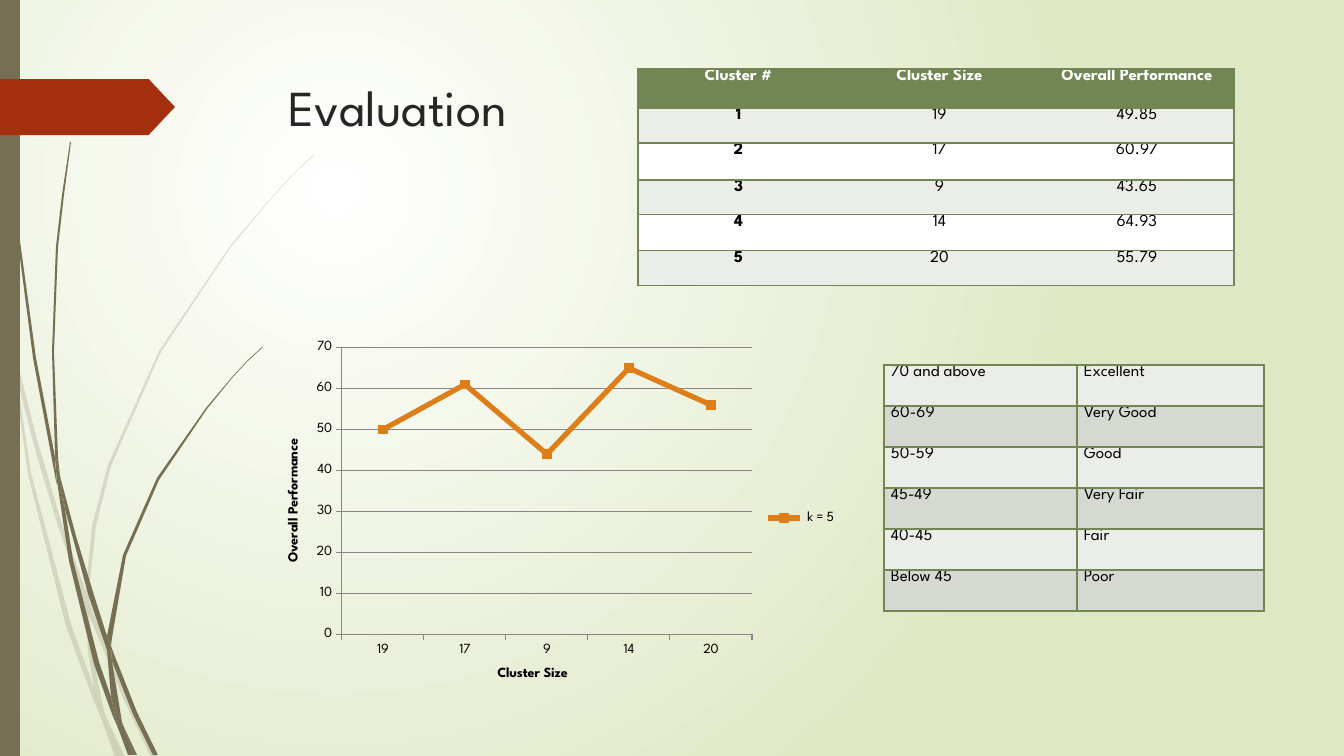
from lxml import etree
from pptx import Presentation
from pptx import util as u
from pptx.chart.data import CategoryChartData
from pptx.dml.color import RGBColor
from pptx.enum import chart as ch, shapes, text
from pptx.oxml.ns import qn

PX = 914400 / 100.8
FONT = "League Spartan"
C = {"white": "FFFFFF", "lime": "DFE8C4", "stem": "766F54", "arrow": "A53010",
     "title": "262626", "black": "000000", "green": "728653", "pale": "EBEDE9",
     "grey": "D5D9D1", "orange": "DE7E18", "grid": "868686"}
RGB = {name: RGBColor.from_string(value) for name, value in C.items()}


def put(tf, words, size=12, color="black", bold=False, align=text.PP_ALIGN.LEFT):
    p = tf.paragraphs[0]
    p.alignment = align
    r = p.add_run()
    r.text = words
    r.font.name, r.font.size, r.font.bold = FONT, u.Pt(size), bold
    r.font.color.rgb = RGB[color]


prs = Presentation()
prs.slide_width, prs.slide_height = round(1344 * PX), round(756 * PX)
s = prs.slides.add_slide(prs.slide_layouts[5])

# Background: radial gradient
fill = s.background.fill
fill.gradient()
for stop, name in zip(fill.gradient_stops, ("white", "lime")):
    stop.color.rgb = RGB[name]
grad = s._element.find(".//" + qn("a:gradFill"))
grad.remove(grad.find(qn("a:lin")))
path = etree.SubElement(grad, qn("a:path"), {"path": "circle"})
etree.SubElement(path, qn("a:fillToRect"), l="50000", t="50000", r="100000", b="100000")

# Grass stems: outlines in px, pale behind and solid in front
pale_stems = [
    [(11, 353), (9, 325), (0, 284), (0, 301), (10, 347)],
    [(58, 526), (85, 604), (86, 591), (62, 524), (36, 436), (14, 348), (17, 379), (36, 453)],
    [(93, 612), (89, 601), (89, 615), (124, 700), (151, 757), (156, 757), (128, 698)],
    [(120, 757), (125, 757), (106, 717)],
    [(94, 688), (71, 624), (31, 473), (17, 379), (11, 353), (28, 474), (66, 626),
     (93, 699), (102, 720), (100, 713)],
    [(85, 604), (88, 651), (94, 688), (97, 698), (106, 717), (104, 712), (92, 651),
     (89, 615), (89, 613)],
    [(89, 589), (96, 526), (111, 466), (161, 352), (231, 247), (270, 200), (292, 176),
     (314, 155), (314, 154), (291, 176), (270, 199), (230, 246), (159, 351), (108, 465),
     (92, 526), (86, 589), (86, 591), (89, 601)],
    [(102, 720), (115, 757), (120, 757)],
    [(89, 613), (89, 615), (89, 601), (86, 591), (85, 604)],
    [(97, 698), (94, 688), (100, 713), (102, 720), (120, 757), (106, 717)],
]
solid_stems = [
    [(7, 111), (17, 235), (33, 358), (56, 481), (57, 485), (55, 461), (55, 457), (36, 358),
     (19, 234), (8, 110), (5, 48), (4, 0), (3, 0), (4, 48)],
    [(89, 597), (107, 650), (107, 636), (94, 595), (76, 536), (60, 476), (65, 509)],
    [(114, 654), (111, 646), (112, 661), (133, 714), (153, 755), (158, 755), (137, 712)],
    [(111, 697), (99, 662), (73, 560), (65, 509), (57, 481), (69, 561), (94, 664),
     (112, 714), (118, 728), (117, 723)],
    [(60, 476), (58, 457), (54, 352), (58, 247), (64, 195), (71, 142), (70, 142),
     (62, 195), (56, 247), (52, 352), (55, 453)],
    [(134, 755), (137, 755), (123, 725)],
    [(57, 481), (65, 509), (60, 476), (55, 453), (55, 457)],
    [(112, 638), (126, 556), (159, 480), (207, 409), (233, 377), (247, 362), (263, 347),
     (262, 347), (247, 361), (233, 376), (206, 408), (157, 478), (123, 555), (107, 636),
     (111, 646)],
    [(118, 728), (128, 755), (132, 755)],
    [(107, 650), (111, 697), (117, 712), (123, 725), (122, 722), (112, 661), (110, 656)],
    [(107, 650), (110, 656), (112, 661), (111, 646), (107, 636), (107, 638)],
    [(117, 712), (111, 697), (117, 723), (118, 728), (131, 755), (134, 755), (123, 725)],
]
for outline in pale_stems + solid_stems:
    fb = s.shapes.build_freeform(*outline[0], scale=PX)
    fb.add_line_segments(outline[1:], close=True)
    sp = fb.convert_to_shape()
    sp.shadow.inherit = False
    sp.line.fill.background()
    sp.fill.solid()
    sp.fill.fore_color.rgb = RGB["stem"]
    if outline in pale_stems:
        color = sp._element.spPr.find(".//" + qn("a:srgbClr"))
        etree.SubElement(color, qn("a:alpha"), val="20000")

# Side bar and arrow tag
for kind, name, box in [(shapes.MSO_SHAPE.RECTANGLE, "stem", (0, 0, 20, 756)),
                        (shapes.MSO_SHAPE.PENTAGON, "arrow", (0, 79, 175, 56))]:
    sp = s.shapes.add_shape(kind, *(round(v * PX) for v in box))
    sp.shadow.inherit = False
    sp.line.fill.background()
    sp.fill.solid()
    sp.fill.fore_color.rgb = RGB[name]
sp.adjustments[0] = 0.47

# Title
title = s.shapes.title
title.left, title.top, title.width, title.height = (round(v * PX) for v in (278, 71, 983, 141))
tf = title.text_frame
tf.word_wrap, tf.auto_size = True, text.MSO_AUTO_SIZE.NONE
tf.vertical_anchor = text.MSO_ANCHOR.TOP
put(tf, "Evaluation", size=36, color="title")

# Tables: cluster results and rating scale
clusters = [("Cluster #", "Cluster Size", "Overall Performance"),
            ("1", "19", "49.85"), ("2", "17", "60.97"), ("3", "9", "43.65"),
            ("4", "14", "64.93"), ("5", "20", "55.79")]
ratings = [("70 and above", "Excellent"), ("60-69", "Very Good"), ("50-59", "Good"),
           ("45-49", "Very Fair"), ("40-45", "Fair"), ("Below 45", "Poor")]
tables = [(clusters, 638, 69, (201, 201, 194), (39, 35, 37, 35, 36, 35),
           ("green", "pale", "white", "pale", "white", "pale")),
          (ratings, 884, 365, (193, 187), (41,) * 6, ("pale", "grey") * 3)]
for rows, x, y, widths, heights, bands in tables:
    is_clusters = rows is clusters
    box = (x, y, sum(widths), sum(heights))
    tbl = s.shapes.add_table(len(rows), len(widths), *(round(v * PX) for v in box)).table
    tbl.first_row = tbl.horz_banding = False
    for col, w in zip(tbl.columns, widths):
        col.width = round(w * PX)
    for i, row in enumerate(rows):
        tbl.rows[i].height = round(heights[i] * PX)
        for j, words in enumerate(row):
            cell = tbl.cell(i, j)
            cell.margin_left = cell.margin_right = round(7 * PX)
            cell.margin_top = cell.margin_bottom = 0
            cell.vertical_anchor = text.MSO_ANCHOR.TOP
            put(cell.text_frame, words,
                color="white" if bands[i] == "green" else "black",
                bold=is_clusters and (i == 0 or j == 0),
                align=text.PP_ALIGN.CENTER if is_clusters else text.PP_ALIGN.LEFT)
            tcPr = cell._tc.get_or_add_tcPr()
            hidden = set()
            if is_clusters:
                hidden = {"L"} if j else set()
                hidden |= {"R"} if j < len(row) - 1 else set()
            for side in "LRTB":
                ln = etree.SubElement(tcPr, qn(f"a:ln{side}"), w="12700")
                if side in hidden:
                    etree.SubElement(ln, qn("a:noFill"))
                else:
                    solid = etree.SubElement(ln, qn("a:solidFill"))
                    etree.SubElement(solid, qn("a:srgbClr"), val=C["green"])
            cell.fill.solid()
            cell.fill.fore_color.rgb = RGB[bands[i]]

# Line chart of performance by cluster size
data = CategoryChartData()
data.categories = [size for _, size, _ in clusters[1:]]
data.add_series(" k = 5", [round(float(score)) for _, _, score in clusters[1:]])
box = (266, 334, 581, 368)
chart = s.shapes.add_chart(ch.XL_CHART_TYPE.LINE_MARKERS,
                           *(round(v * PX) for v in box), data).chart
chart.has_title = False
chart.font.name, chart.font.size = FONT, u.Pt(10)
chart.font.color.rgb = RGB["black"]
chart.has_legend = True
chart.legend.position = ch.XL_LEGEND_POSITION.RIGHT
chart.legend.include_in_layout = False
plot = chart.plots[0]
plot.vary_by_categories = False
ser = plot.series[0]
ser.smooth = False
ser.format.line.width = u.Pt(3.75)
ser.format.line.color.rgb = RGB["orange"]
ser.marker.style, ser.marker.size = ch.XL_MARKER_STYLE.SQUARE, 6
ser.marker.format.fill.solid()
ser.marker.format.fill.fore_color.rgb = RGB["orange"]
ser.marker.format.line.color.rgb = RGB["orange"]
for axis, label in [(chart.category_axis, "Cluster Size "),
                    (chart.value_axis, "Overall Performance ")]:
    put(axis.axis_title.text_frame, label, size=10, bold=True)
    axis.major_tick_mark = ch.XL_TICK_MARK.OUTSIDE
    axis.minor_tick_mark = ch.XL_TICK_MARK.NONE
    axis.format.line.color.rgb = RGB["grid"]
axis.minimum_scale, axis.maximum_scale, axis.major_unit = 0, 70, 10
axis.has_major_gridlines = True
axis.major_gridlines.format.line.color.rgb = RGB["grid"]

prs.save("out.pptx")
